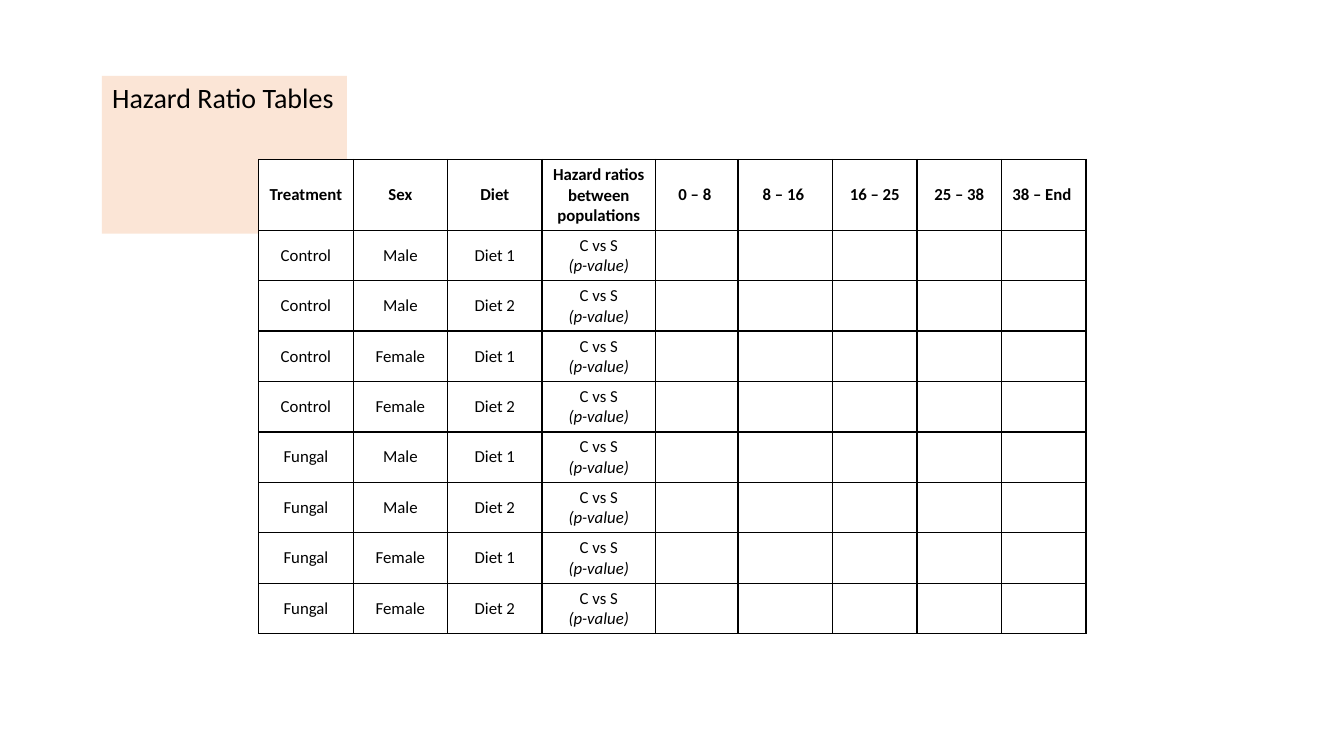
from itertools import product

from lxml import etree
from pptx import Presentation
from pptx import util as u
from pptx.dml.color import RGBColor
from pptx.enum import text
from pptx.oxml.ns import qn

COLORS = {"ink": "000000", "paper": "FFFFFF", "peach": "FBE5D6"}
FONT = "Calibri"


class SlideBuilder:
    def __init__(self, slide):
        self.slide = slide

    def color(self, name):
        return RGBColor.from_string(COLORS[name])

    def format_paragraph(self, paragraph, size, align, bold=False, italic=False):
        paragraph.alignment = align
        font = paragraph.font
        font.name = FONT
        font.size = u.Pt(size)
        font.bold = bold
        font.italic = italic
        font.color.rgb = self.color("ink")

    def title(self, words, left, top, width, height):
        shape = self.slide.shapes.title
        shape.left, shape.top = u.Cm(left), u.Cm(top)
        shape.width, shape.height = u.Cm(width), u.Cm(height)
        shape.fill.solid()
        shape.fill.fore_color.rgb = self.color("peach")
        frame = shape.text_frame
        frame.text = words
        frame.word_wrap = False
        frame.auto_size = text.MSO_AUTO_SIZE.SHAPE_TO_FIT_TEXT
        frame.vertical_anchor = text.MSO_ANCHOR.TOP
        self.format_paragraph(frame.paragraphs[0], 20, text.PP_ALIGN.LEFT)

    def border(self, cell):
        properties = cell._tc.get_or_add_tcPr()
        for index, side in enumerate(("lnL", "lnR", "lnT", "lnB")):
            line = etree.Element(qn(f"a:{side}"), w=str(u.Pt(1)))
            fill = etree.SubElement(line, qn("a:solidFill"))
            etree.SubElement(fill, qn("a:srgbClr"), val=COLORS["ink"])
            properties.insert(index, line)

    def cell(self, cell, words, bold):
        cell.text = words
        cell.vertical_anchor = text.MSO_ANCHOR.MIDDLE
        cell.fill.solid()
        cell.fill.fore_color.rgb = self.color("paper")
        for paragraph in cell.text_frame.paragraphs:
            italic = paragraph.text == "(p-value)"
            self.format_paragraph(paragraph, 12, text.PP_ALIGN.CENTER, bold, italic)
        self.border(cell)

    def table(self, rows, left, top, widths, heights):
        frame = self.slide.shapes.add_table(
            len(rows), len(widths), u.Cm(left), u.Cm(top),
            u.Cm(sum(widths)), u.Cm(sum(heights)))
        table = frame.table
        table.first_row = False
        table.horz_banding = False
        for column, width in zip(table.columns, widths):
            column.width = u.Cm(width)
        for row, height in zip(table.rows, heights):
            row.height = u.Cm(height)
        for row_index, row in enumerate(rows):
            for column_index, words in enumerate(row):
                self.cell(table.cell(row_index, column_index), words, row_index == 0)


def main():
    presentation = Presentation()
    presentation.slide_width = u.Cm(33.87)
    presentation.slide_height = u.Cm(19.05)
    builder = SlideBuilder(presentation.slides.add_slide(presentation.slide_layouts[5]))

    builder.title("Hazard Ratio Tables", 2.57, 1.91, 6.17, 1.12)

    periods = ["0 – 8 ", "8 – 16 ", "16 – 25", "25 – 38", "38 – End "]
    header = ["Treatment", "Sex", "Diet", "Hazard ratios\nbetween populations", *periods]
    groups = product(("Control", "Fungal"), ("Male", "Female"), ("Diet 1", "Diet 2"))
    body = [[*group, "C vs S\n(p-value)", *[""] * len(periods)] for group in groups]
    widths = [2.38] * 3 + [2.86, 2.08, 2.38] + [2.13] * 3
    heights = [1.78] + [1.27] * len(body)
    builder.table([header, *body], 6.52, 4.02, widths, heights)

    presentation.save("out.pptx")


if __name__ == "__main__":
    main()
